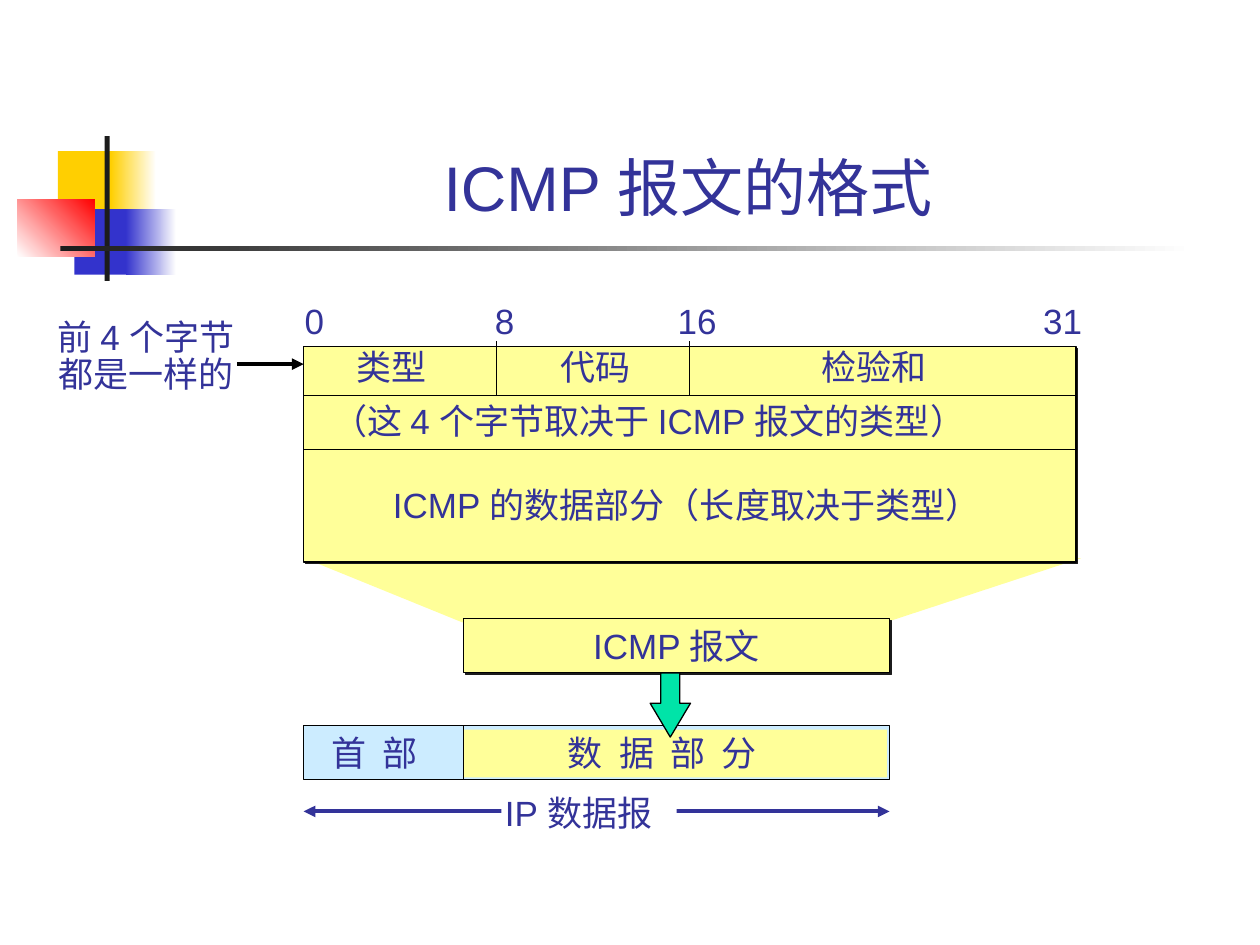
from lxml.etree import SubElement
from pptx import Presentation
from pptx.dml.color import RGBColor
from pptx.enum.shapes import MSO_CONNECTOR, MSO_SHAPE
from pptx.enum.text import MSO_ANCHOR, MSO_AUTO_SIZE, PP_ALIGN
from pptx.oxml.ns import qn
from pptx.util import Inches, Pt

WHITE = RGBColor(0xFF, 0xFF, 0xFF)
BLACK = RGBColor(0, 0, 0)
DARK = RGBColor(0x1C, 0x1C, 0x1C)
NAVY = RGBColor(0x33, 0x33, 0x99)
BLUE = RGBColor(0x33, 0x33, 0xCC)
GOLD = RGBColor(0xFF, 0xCF, 0x01)
RED = RGBColor(0xFF, 0, 0)
YELLOW = RGBColor(0xFF, 0xFF, 0x99)
SKY = RGBColor(0xCC, 0xEC, 0xFF)
GREEN = RGBColor(0x00, 0xE4, 0xA8)


def write(frame, text, size=20, color=NAVY, align=PP_ALIGN.LEFT,
          space=None, track=0):
    """Fill a text frame, one paragraph a line; track is extra letter gap in points."""
    for i, line in enumerate(text.split("\n")):
        para = frame.paragraphs[0] if i == 0 else frame.add_paragraph()
        para.alignment = align
        para.line_spacing = space
        run = para.add_run()
        run.text = line
        run.font.name = "Arial"
        run.font.size = Pt(size)
        run.font.color.rgb = color
        if track:
            run.font._element.set("spc", str(round(track * 100)))


class Page:
    def __init__(self, slide):
        self.shapes = slide.shapes

    def paint(self, shape, fill, edge=None):
        shape.shadow.inherit = False
        shape.fill.solid()
        shape.fill.fore_color.rgb = fill
        if edge is None:
            shape.line.fill.background()
        else:
            shape.line.color.rgb = edge
            shape.line.width = Pt(0.75)
        return shape

    def box(self, x, y, w, h, fill, edge=None, kind=MSO_SHAPE.RECTANGLE):
        shape = self.shapes.add_shape(
            kind, Inches(x), Inches(y), Inches(w), Inches(h))
        return self.paint(shape, fill, edge)

    def fade(self, x, y, w, h, start, end, angle=0):
        fill = self.box(x, y, w, h, start).fill
        fill.gradient()
        fill.gradient_angle = angle
        for stop, color, pos in zip(fill.gradient_stops, (start, end), (0, 1)):
            stop.color.rgb = color
            stop.position = pos

    def raised(self, *args):
        """Draw a yellow box with a hard drop shadow."""
        shape = self.box(*args, YELLOW, BLACK)
        effect = shape._element.spPr.find(qn("a:effectLst"))
        shade = SubElement(effect, qn("a:outerShdw"), blurRad="0",
                           dist=str(Pt(1.4)), dir="2700000",
                           algn="ctr", rotWithShape="0")
        SubElement(shade, qn("a:srgbClr"), val=str(DARK))
        return shape

    def area(self, points, fill):
        first, *rest = [(Inches(x), Inches(y)) for x, y in points]
        path = self.shapes.build_freeform(*first)
        path.add_line_segments(rest, close=True)
        self.paint(path.convert_to_shape(), fill)

    def line(self, x1, y1, x2, y2, color=BLACK, width=0.75, ends=()):
        link = self.shapes.add_connector(
            MSO_CONNECTOR.STRAIGHT, Inches(x1), Inches(y1), Inches(x2), Inches(y2))
        link.line.color.rgb = color
        link.line.width = Pt(width)
        for end in ends:
            SubElement(link.line._get_or_add_ln(), qn(f"a:{end}"), type="triangle")
        SubElement(link._element.spPr, qn("a:effectLst"))

    def label(self, x, y, w, text, h=0.44, **style):
        frame = self.shapes.add_textbox(
            Inches(x), Inches(y), Inches(w), Inches(h)).text_frame
        frame.word_wrap = False
        frame.auto_size = MSO_AUTO_SIZE.SHAPE_TO_FIT_TEXT
        write(frame, text, **style)

    def title(self, x, y, w, h, text):
        frame = self.shapes.add_textbox(
            Inches(x), Inches(y), Inches(w), Inches(h)).text_frame
        frame.word_wrap = True
        frame.vertical_anchor = MSO_ANCHOR.BOTTOM
        write(frame, text, size=36, align=PP_ALIGN.CENTER)


def decor(page):
    page.box(0.46, 1.2, 0.48, 0.52, GOLD)
    page.fade(0.88, 1.2, 0.36, 0.52, GOLD, WHITE)
    page.box(0.59, 1.66, 0.46, 0.52, BLUE)
    page.fade(1, 1.66, 0.4, 0.52, BLUE, WHITE)
    page.fade(0.14, 1.58, 0.61, 0.46, WHITE, RED, angle=45)
    page.box(0.83, 1.08, 0.04, 1.15, DARK)
    page.fade(0.48, 1.95, 9, 0.04, DARK, WHITE)


def packet(page):
    """Draw the IP datagram and the ICMP message that goes into it."""
    left, split, right = 2.41, 3.68, 7.06
    top, high = 5.76, 0.43
    page.box(left, top, right - left, high, SKY, BLACK)
    page.box(split, top + 0.03, right - split - 0.02, high - 0.05, YELLOW)
    page.area([(2.44, 4.44), (3.67, 4.94), (7.06, 4.93), (8.58, 4.43)], YELLOW)
    page.line(left, 6.44, right, 6.44, NAVY, 2.25, ("headEnd", "tailEnd"))
    page.label(2.53, top, 0.98, "首 部", track=2.4)

    body = page.raised(split, 4.91, right - split, high).text_frame
    body.word_wrap = False
    body.vertical_anchor = MSO_ANCHOR.MIDDLE
    write(body, "ICMP 报文", align=PP_ALIGN.CENTER)

    page.line(split, top, split, top + high)
    page.label(4.41, top, 1.8, "数 据 部 分", track=2.4)
    arrow = page.box(5.16, 5.34, 0.32, 0.51, GREEN, BLACK, MSO_SHAPE.DOWN_ARROW)
    arrow.adjustments[0] = 0.47
    arrow.adjustments[1] = 0.84
    page.box(3.98, 6.27, 1.39, 0.31, WHITE)
    page.label(3.91, 6.23, 1.44, "IP 数据报")


def format_grid(page):
    """Draw the ICMP fields under their bit numbers."""
    left, top, wide = 2.41, 2.75, 6.13
    right, row = left + wide, 3.14
    page.raised(left, top, wide, 1.71)
    for y in (row, 3.57):
        page.line(left, y, right, y)
    for part in (1, 2):
        x = left + part * wide / 4
        page.line(x, row, x, top - 0.04)
    for x, w, bit in ((2.32, 0.35, "0"), (3.83, 0.35, "8"),
                      (5.28, 0.51, "16"), (8.18, 0.51, "31")):
        page.label(x, 2.33, w, bit)
    for x, y, w, field in (
            (2.73, 2.69, 0.8, "类型"),
            (4.35, 2.69, 0.8, "代码"),
            (6.42, 2.69, 1.1, "检验和"),
            (2.54, 3.12, 5.49, "（这 4 个字节取决于 ICMP 报文的类型）"),
            (3.02, 3.79, 4.93, "ICMP 的数据部分（长度取决于类型）")):
        page.label(x, y, w, field)
    page.label(0.29, 2.49, 1.74, "前 4 个字节\n都是一样的", h=0.7,
               align=PP_ALIGN.CENTER, space=0.9)
    page.line(1.88, 2.89, left, 2.89, width=2.25, ends=("tailEnd",))


def main():
    deck = Presentation()
    deck.slide_width, deck.slide_height = Inches(10), Inches(7.5)
    page = Page(deck.slides.add_slide(deck.slide_layouts[6]))
    decor(page)
    page.title(1.2, 0.23, 8.52, 1.6, "ICMP 报文的格式")
    packet(page)
    format_grid(page)
    deck.save("out.pptx")


if __name__ == "__main__":
    main()
